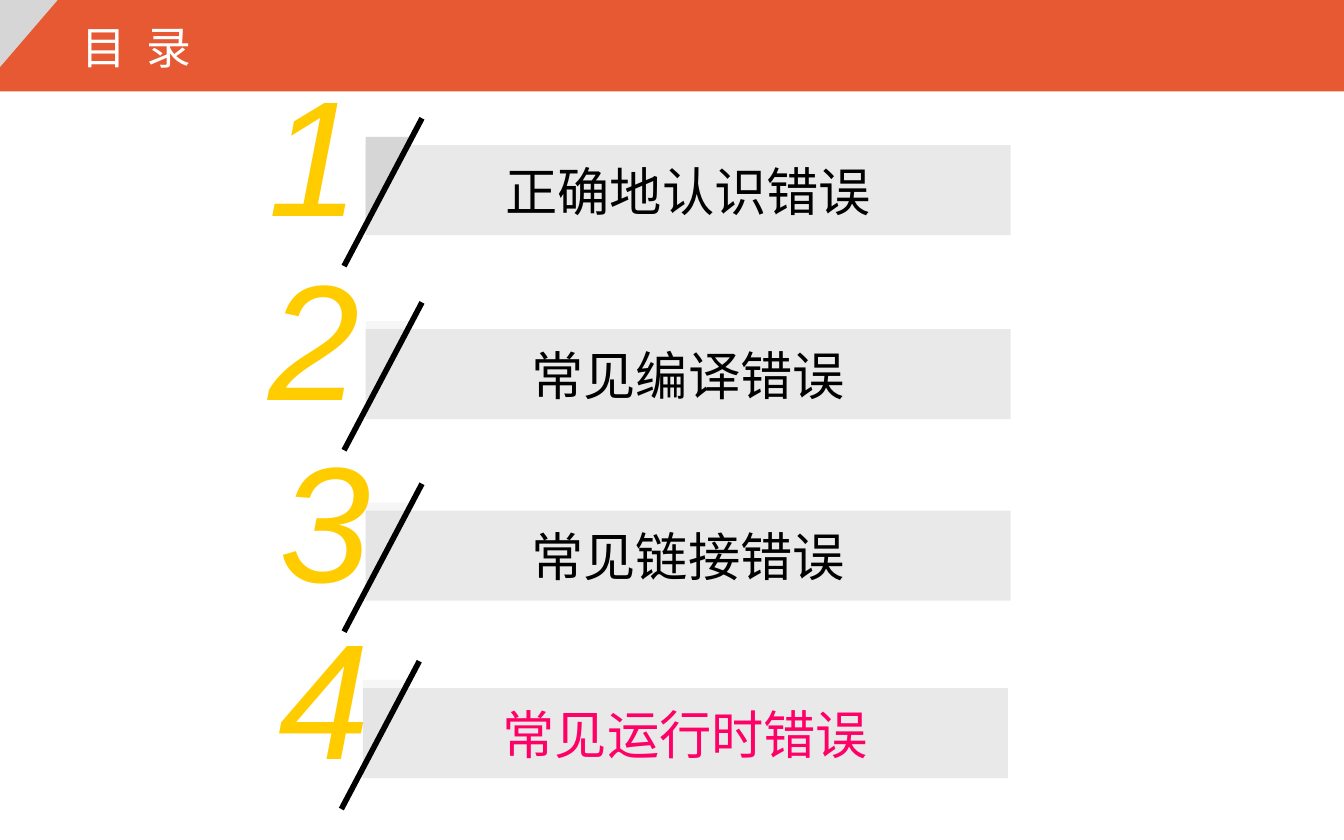
"""Build the contents slide with four numbered topics."""
import pptx
import pptx.dml.color
import pptx.enum.shapes
import pptx.enum.text
import pptx.oxml.ns
import pptx.oxml.xmlchemy
import pptx.util
from pptx.util import Inches

RGBColor = pptx.dml.color.RGBColor
MSO_SHAPE = pptx.enum.shapes.MSO_SHAPE
ORANGE = RGBColor(0xE7, 0x59, 0x33)
LIGHT_GRAY = RGBColor(0xD6, 0xD6, 0xD6)
BAR_GRAY = RGBColor(0x94, 0x94, 0x94)
YELLOW = RGBColor(0xFF, 0xCC, 0x00)
PINK = RGBColor(0xFF, 0x00, 0x66)
BLACK = RGBColor(0x00, 0x00, 0x00)
WHITE = RGBColor(0xFF, 0xFF, 0xFF)

TITLE_FONT = {"name": "Noto Sans Mono", "size": pptx.util.Pt(24)}
NUMBER_FONT = {"name": "Arial", "size": pptx.util.Pt(88), "italic": True}
TOPIC_FONT = {"name": "Arial", "size": pptx.util.Pt(28)}


def add_filled_shape(shapes, preset, box, color, opacity=100, flipped=False):
    shape = shapes.add_shape(preset, *map(Inches, box))
    shape.shadow.inherit = False
    shape.line.fill.background()
    shape.fill.solid()
    shape.fill.fore_color.rgb = color
    if opacity < 100:
        color_element = shape.element.spPr.find(".//" + pptx.oxml.ns.qn("a:srgbClr"))
        alpha = pptx.oxml.xmlchemy.OxmlElement("a:alpha")
        alpha.set("val", str(opacity * 1000))
        color_element.append(alpha)
    if flipped:
        shape.element.spPr.find(pptx.oxml.ns.qn("a:xfrm")).set("flipV", "1")
    return shape


def write_text(shape, text, font_format, color, wrap=True):
    shape.text_frame.word_wrap = wrap
    paragraph = shape.text_frame.paragraphs[0]
    run = paragraph.add_run()
    run.text = text
    for name, value in font_format.items():
        setattr(run.font, name, value)
    run.font.color.rgb = color
    return paragraph


presentation = pptx.Presentation()
presentation.slide_width = Inches(10)
presentation.slide_height = Inches(6.25)
slide = presentation.slides.add_slide(presentation.slide_layouts[6])

add_filled_shape(slide.shapes, MSO_SHAPE.RECTANGLE, (0, 0, 10, 0.68), ORANGE)
add_filled_shape(slide.shapes, MSO_SHAPE.RIGHT_TRIANGLE, (0, 0, 0.43, 0.5), LIGHT_GRAY, flipped=True)
title = slide.shapes.add_textbox(*map(Inches, (0.51, 0.1, 3.39, 0.5)))
title_paragraph = write_text(title, "目 录", TITLE_FONT, WHITE)
title_paragraph.runs[0].font._element.set("spc", "270")

topics = [
    ("正确地认识错误", 1.9, 2.72, 1.08, BLACK, 100),
    ("常见编译错误", 1.9, 2.72, 2.45, BLACK, 20),
    ("常见链接错误", 1.98, 2.72, 3.8, BLACK, 20),
    ("常见运行时错误", 1.97, 2.7, 5.12, PINK, 20),
]
for number, (topic, number_left, left, top, color, opacity) in enumerate(topics, 1):
    group = slide.shapes.add_group_shape()

    number_box = group.shapes.add_textbox(*map(Inches, (number_left, top - 0.74, 0.88, 1.57)))
    write_text(number_box, str(number), NUMBER_FONT, YELLOW, wrap=False)

    bar = add_filled_shape(group.shapes, MSO_SHAPE.RECTANGLE, (left, top, 4.8, 0.67), BAR_GRAY, 20)
    bar.text_frame.vertical_anchor = pptx.enum.text.MSO_ANCHOR.MIDDLE
    topic_paragraph = write_text(bar, topic, TOPIC_FONT, color)
    topic_paragraph.alignment = pptx.enum.text.PP_ALIGN.CENTER

    add_filled_shape(group.shapes, MSO_SHAPE.RIGHT_TRIANGLE, (left, top - 0.06, 0.37, 0.66),
                     LIGHT_GRAY, opacity, flipped=True)

    slash_ends = (left + 0.42, top - 0.2, left - 0.16, top + 0.9)
    slash = group.shapes.add_connector(pptx.enum.shapes.MSO_CONNECTOR.STRAIGHT, *map(Inches, slash_ends))
    slash.line.color.rgb = BLACK
    slash.line.width = pptx.util.Pt(3)
    slash._element.spPr.append(pptx.oxml.xmlchemy.OxmlElement("a:effectLst"))

presentation.save("out.pptx")
